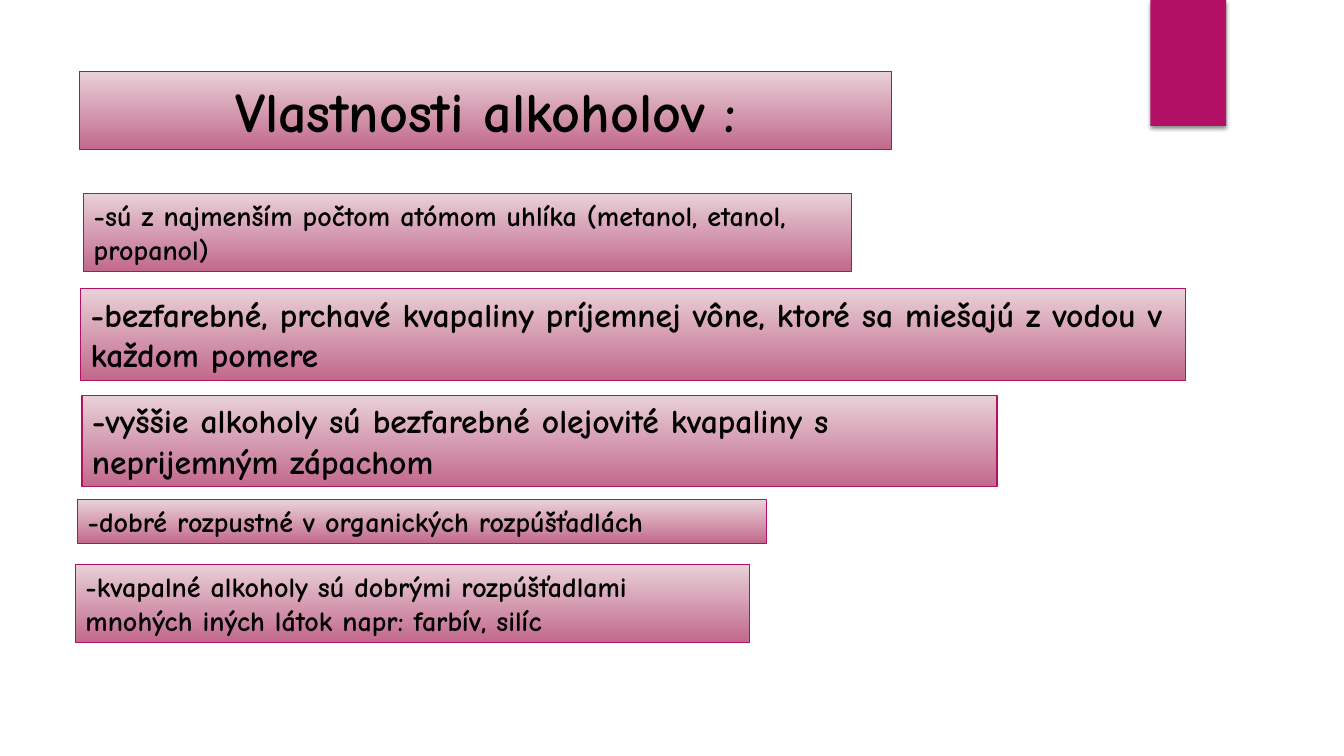
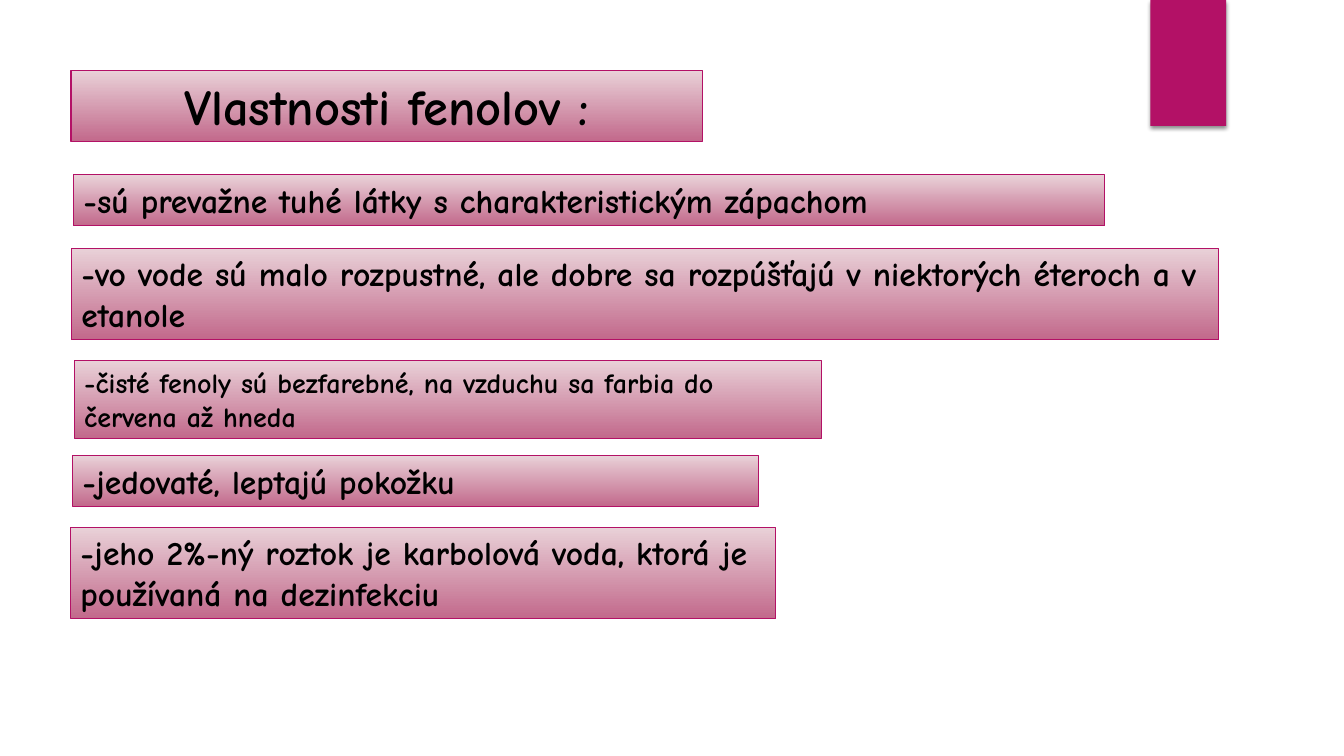
"""Build two slides on the properties of alcohols and phenols."""
from lxml import etree
from pptx import Presentation
from pptx.dml import color
from pptx.enum import shapes, text
from pptx.oxml import ns
from pptx.util import Pt

HUES = {"band": "B31166", "light": "E9D1D8", "deep": "C2698B",
        "ink": "000000"}
FONT = "Comic Neue"


def rgb(key):
    """Return the named colour."""
    return color.RGBColor.from_string(HUES[key])


class Deck:
    """Hold the style and the current slide."""

    def __init__(self):
        """Open a wide deck."""
        self.prs = Presentation()
        self.prs.slide_width, self.prs.slide_height = Pt(960), Pt(540)
        self.base = self.prs.slide_layouts[5]
        self.slide = None

    def rect(self, x, y, w, h):
        """Add a plain rectangle to the slide."""
        box = self.slide.shapes.add_shape(
            shapes.MSO_SHAPE.RECTANGLE, Pt(x), Pt(y), Pt(w), Pt(h))
        box.shadow.inherit = False
        return box

    def band(self):
        """Draw the corner band with its soft shadow."""
        box = self.rect(821.8, 0, 54, 90)
        box.fill.solid()
        box.fill.fore_color.rgb = rgb("band")
        box.line.fill.background()
        glow = box.element.spPr.find(ns.qn("a:effectLst"))
        cast = etree.SubElement(
            glow, ns.qn("a:outerShdw"), blurRad=str(Pt(3)), dist=str(Pt(2)),
            dir="5400000", algn="t", rotWithShape="0")
        hue = etree.SubElement(cast, ns.qn("a:srgbClr"), val=HUES["ink"])
        etree.SubElement(hue, ns.qn("a:alpha"), val="45000")

    def dress(self, box, words, size, align):
        """Give a box its gradient, outline and text."""
        box.fill.gradient()
        box.fill.gradient_angle = 270
        for stop, key, pos in zip(box.fill.gradient_stops,
                                  ("light", "deep"), (0, 1)):
            stop.color.rgb = rgb(key)
            stop.position = pos
        box.line.color.rgb = rgb("band")
        box.line.width = Pt(0.75)
        frame = box.text_frame
        frame.text = words
        frame.word_wrap = True
        frame.auto_size = text.MSO_AUTO_SIZE.NONE
        frame.vertical_anchor = text.MSO_ANCHOR.TOP
        para = frame.paragraphs[0]
        para.alignment = align
        font = para.runs[0].font
        font.name, font.size, font.bold = FONT, Pt(size), True
        font.color.rgb = rgb("ink")

    def tall(self, size, lines):
        """Return the height of a box for its lines of text."""
        return 7.2 + 1.21 * size * lines

    def title(self, x, y, w, size, words):
        """Start a slide with its band and title."""
        self.slide = self.prs.slides.add_slide(self.base)
        self.band()
        box = self.slide.shapes.title
        box.left, box.top, box.width = Pt(x), Pt(y), Pt(w)
        box.height = Pt(self.tall(size, 1))
        self.dress(box, words, size, text.PP_ALIGN.CENTER)

    def note(self, x, y, w, size, lines, words):
        """Add a boxed statement."""
        box = self.rect(x, y, w, self.tall(size, lines))
        self.dress(box, words, size, text.PP_ALIGN.LEFT)


PAGES = [
    ((57, 51, 580, 40, "Vlastnosti alkoholov :"), [
        (59.8, 138.2, 548.6, 20, 2, "-sú z najmenším počtom atómom uhlíka "
         "(metanol, etanol, propanol)"),
        (57.6, 206.2, 789, 24, 2, "-bezfarebné, prchavé kvapaliny príjemnej "
         "vône, ktoré sa miešajú z vodou v každom pomere"),
        (58.6, 282.4, 653.6, 24, 2, "-vyššie alkoholy sú bezfarebné olejovité "
         "kvapaliny s neprijemným zápachom"),
        (55.5, 357, 492, 20, 1,
         "-dobré rozpustné v organických rozpúšťadlách"),
        (54, 403.2, 481.6, 20, 2, "-kvapalné alkoholy sú dobrými "
         "rozpúšťadlami mnohých iných látok napr: farbív, silíc"),
    ]),
    ((50.7, 50.3, 451.2, 36, "Vlastnosti fenolov :"), [
        (52.5, 125, 736.6, 24, 1,
         "-sú prevažne tuhé látky s charakteristickým zápachom"),
        (51, 177.3, 819.4, 24, 2, "-vo vode sú malo rozpustné, ale dobre sa "
         "rozpúšťajú v niektorých éteroch a v etanole"),
        (53, 257.6, 534, 20, 2, "-čisté fenoly sú bezfarebné, na vzduchu sa "
         "farbia do červena až hneda"),
        (51.8, 325.5, 490.4, 24, 1, "-jedovaté, leptajú pokožku"),
        (50.4, 376.7, 503.8, 24, 2, "-jeho 2%-ný roztok je karbolová voda, "
         "ktorá je používaná na dezinfekciu"),
    ]),
]


def main():
    """Build and save the deck."""
    deck = Deck()
    for head, notes in PAGES:
        deck.title(*head)
        for item in notes:
            deck.note(*item)
    deck.prs.save("out.pptx")


if __name__ == "__main__":
    main()
